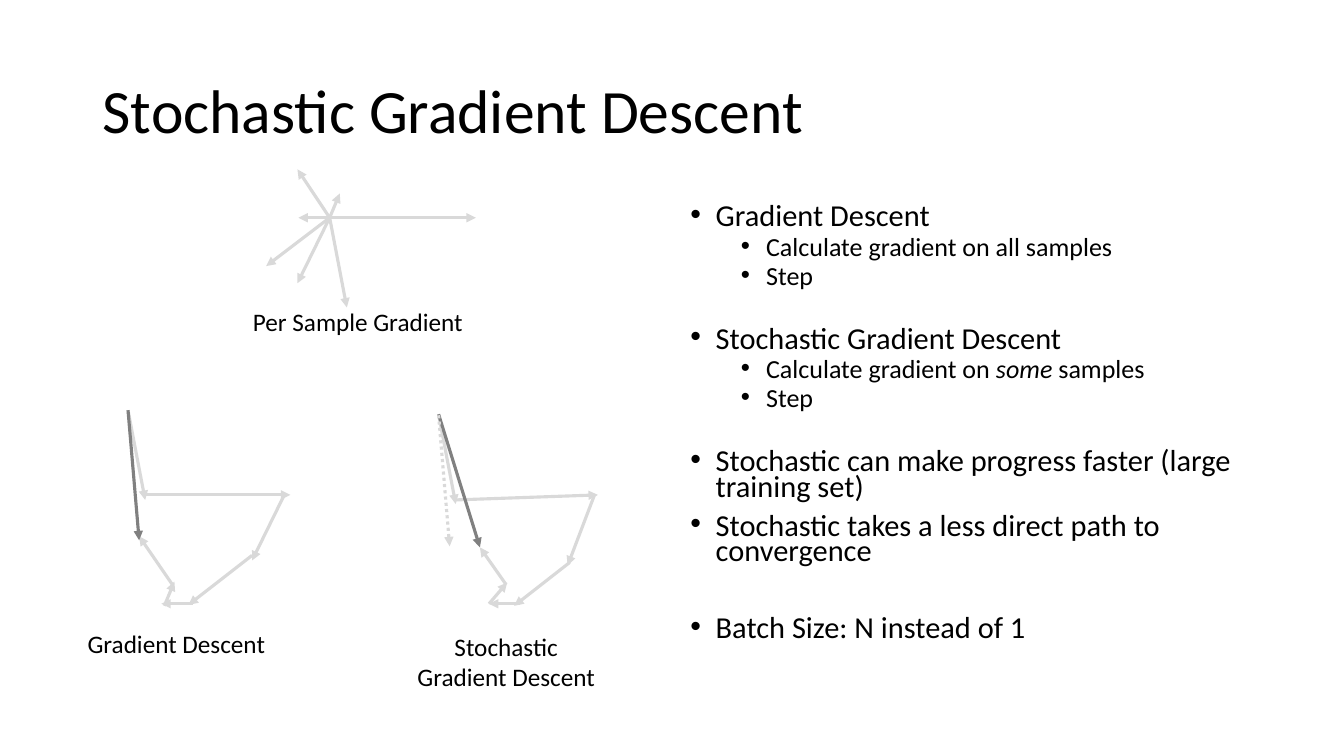
from pptx import Presentation
from pptx.dml.color import RGBColor
from pptx.enum.dml import MSO_LINE
from pptx.enum.shapes import MSO_CONNECTOR
from pptx.enum.text import MSO_ANCHOR, PP_ALIGN
from pptx.oxml.ns import qn
from pptx.util import Inches, Pt
from lxml import etree

STRAIGHT = MSO_CONNECTOR.STRAIGHT
DOTS = MSO_LINE.ROUND_DOT
MIDDLE, TOP = MSO_ANCHOR.MIDDLE, MSO_ANCHOR.TOP
LEFT, CENTER = PP_ALIGN.LEFT, PP_ALIGN.CENTER
FONT, INK, PALE, DARK = "Calibri", "000000", "D9D9D9", "808080"

# Ray tips around the shared centre, in inches
RAYS = [(-0.32, -0.48), (0.1, -0.24), (1.45, 0), (0.17, 0.89),
        (-0.32, 0.65), (-0.63, 0.48), (-0.31, 0)]

# Arrows as x1, y1, x2, y2 from the corner of their diagram, in inches
FULL = [(0.94, 1.73, 0.61, 1.25), (0.86, 1.94, 0.96, 1.7),
        (1.73, 1.44, 1.1, 1.93), (1.14, 1.92, 0.83, 1.92),
        (0.66, 0.84, 2.11, 0.84), (2.05, 0.84, 1.73, 1.49),
        (0.5, 0, 0.67, 0.89)]
FULL_SUM = (0.5, 0, 0.61, 1.29)
SOME = [(0.99, 1.69, 0.73, 1.32), (0.82, 1.88, 1, 1.67),
        (1.62, 1.47, 1.07, 1.9), (1.13, 1.88, 0.82, 1.88),
        (0.48, 0.85, 1.9, 0.8), (1.87, 0.79, 1.6, 1.5),
        (0.32, 0, 0.49, 0.89)]
SOME_SUM = (0.32, 0, 0.73, 1.32)
SOME_OLD = (0.32, 0.01, 0.43, 1.31)

# Level, space before in points, runs (every second run is italic)
POINTS = [
    (0, 0, ["Gradient Descent"]),
    (1, 5, ["Calculate gradient on all samples"]),
    (1, 5, ["Step"]),
    (0, 28, ["Stochastic Gradient Descent"]),
    (1, 5, ["Calculate gradient on ", "some", " samples"]),
    (1, 5, ["Step"]),
    (0, 28, ["Stochastic can make progress faster (large training set)"]),
    (0, 9.5, ["Stochastic takes a less direct path to convergence"]),
    (0, 37, ["Batch Size: N instead of 1"]),
]


def paint(code):
    return RGBColor.from_string(code)


def style(para, size):
    font = para.font
    font.name, font.size = FONT, Pt(size)
    font.color.rgb = paint(INK)


def text_box(slide, box, wrap=True, anchor=TOP):
    frame = slide.shapes.add_textbox(*map(Inches, box)).text_frame
    frame.word_wrap = wrap
    frame.vertical_anchor = anchor
    return frame


def arrow(slide, origin, ends, color=PALE, dash=None):
    x, y = origin
    x1, y1, x2, y2 = ends
    link = slide.shapes.add_connector(
        STRAIGHT, Inches(x + x1), Inches(y + y1),
        Inches(x + x2), Inches(y + y2))
    link.line.color.rgb = paint(color)
    link.line.width = Pt(2.25)
    if dash:
        link.line.dash_style = dash
    tail = etree.SubElement(link.line._get_or_add_ln(), qn("a:tailEnd"))
    tail.set("type", "triangle")
    etree.SubElement(link._element.spPr, qn("a:effectLst"))


def label(slide, box, lines, align=LEFT):
    frame = text_box(slide, box, wrap=False)
    frame.text = "\n".join(lines)
    for para in frame.paragraphs:
        para.alignment = align
        style(para, 18)


def title(slide, box):
    frame = text_box(slide, box, anchor=MIDDLE)
    para = frame.paragraphs[0]
    para.text = "Stochastic Gradient Descent"
    para.line_spacing = 0.9
    style(para, 44)


def star(slide, box):
    x, y, w, h = box
    hub = (x + 0.86, y + 0.48)
    for tip in RAYS:
        arrow(slide, hub, (0, 0, *tip))
    label(slide, (x, y + h - 0.4, w, 0.4), ["Per Sample Gradient"])


def chain(slide, box, steps, total, lines, align=LEFT, old=None):
    x, y, w, h = box
    for step in steps:
        arrow(slide, (x, y), step)
    arrow(slide, (x, y), total, DARK)
    if old:
        arrow(slide, (x, y), old, dash=DOTS)
    tall = 0.1 + 0.3 * len(lines)
    label(slide, (x, y + h - tall, w, tall), lines, align)


def bullets(slide, box):
    frame = text_box(slide, box)
    for i, (level, gap, runs) in enumerate(POINTS):
        para = frame.add_paragraph() if i else frame.paragraphs[0]
        para.level = level
        para.line_spacing = 0.7
        para.space_before = Pt(gap)
        props = para._p.get_or_add_pPr()
        props.set("marL", str(Inches(0.25 + 0.5 * level)))
        props.set("indent", str(Inches(-0.25)))
        face = etree.SubElement(props, qn("a:buFont"))
        face.set("typeface", "Arial")
        etree.SubElement(props, qn("a:buChar")).set("char", "•")
        style(para, 18.6 if level else 21.7)
        for j, words in enumerate(runs):
            run = para.add_run()
            run.text = words
            if j % 2:
                run.font.italic = True


def main():
    deck = Presentation()
    deck.slide_width, deck.slide_height = Inches(13.33), Inches(7.5)
    slide = deck.slides.add_slide(deck.slide_layouts[6])

    # Heading and list
    title(slide, (0.92, 0.4, 11.5, 1.45))
    bullets(slide, (6.75, 2, 5.98, 4.76))

    # Diagrams
    star(slide, (2.41, 1.68, 2.31, 1.71))
    chain(slide, (0.77, 4.07, 1.98, 2.51), FULL, FULL_SUM,
          ["Gradient Descent"])
    chain(slide, (4.03, 4.11, 1.98, 2.8), SOME, SOME_SUM,
          ["Stochastic", "Gradient Descent"], CENTER, SOME_OLD)

    deck.save("out.pptx")


if __name__ == "__main__":
    main()
